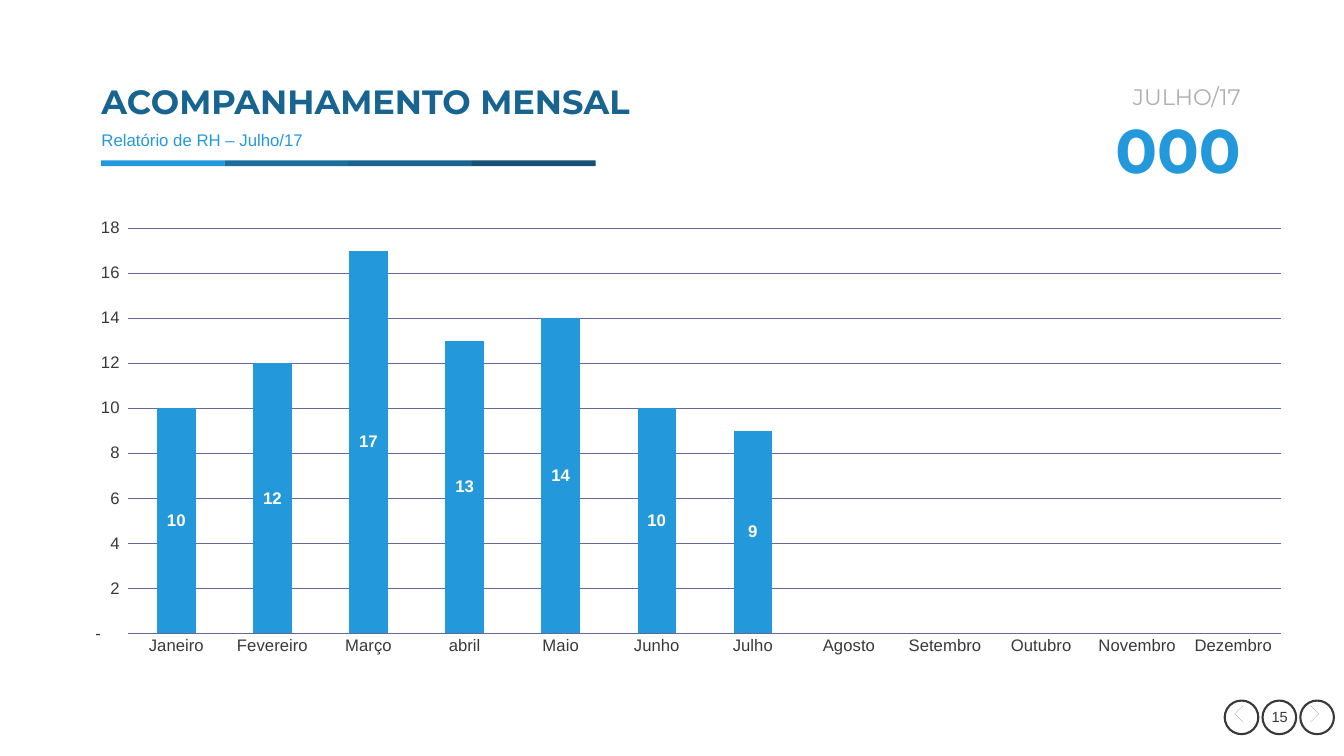
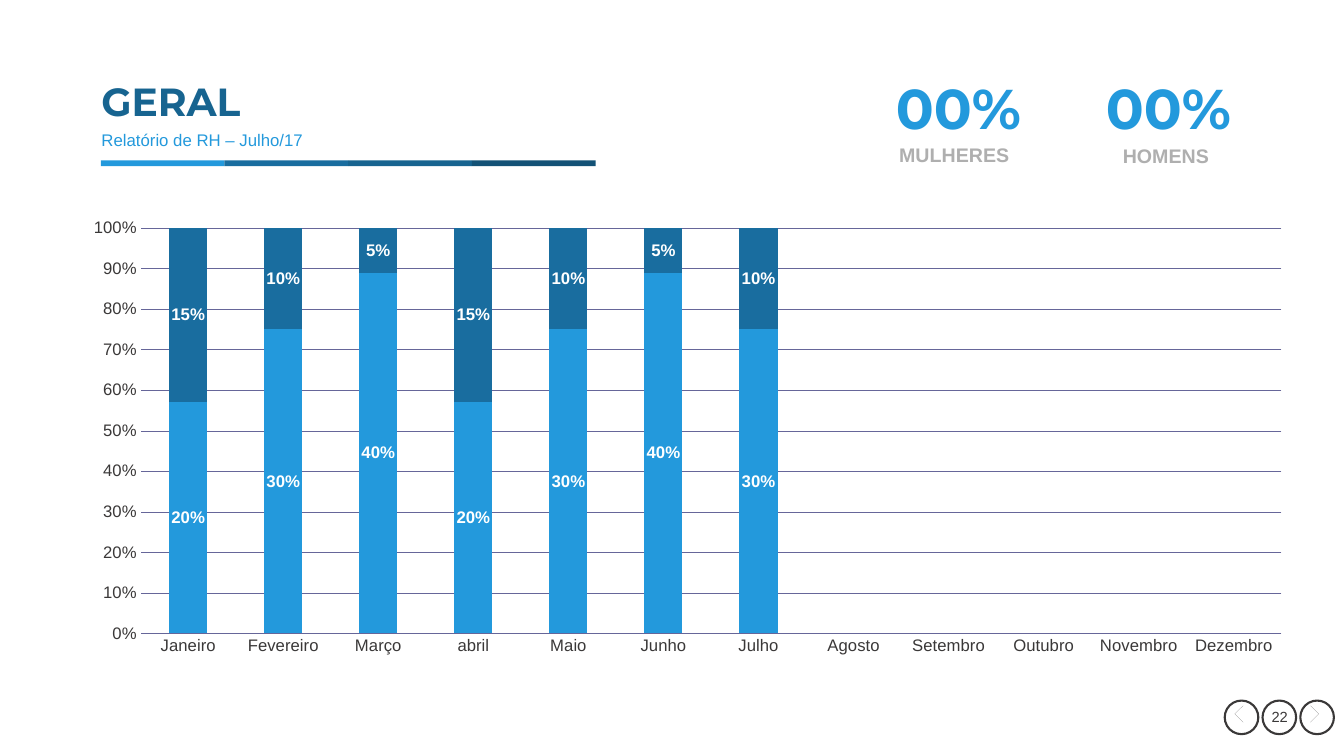
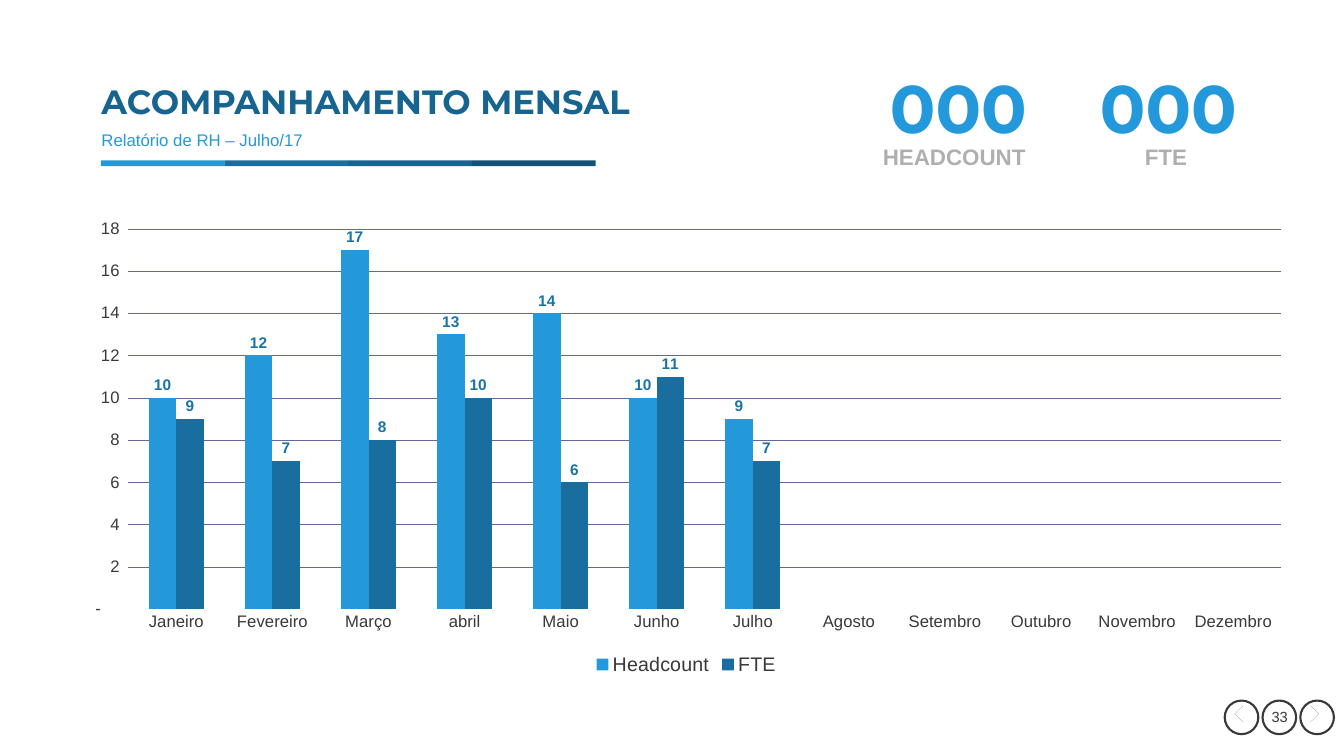
from dataclasses import dataclass

from lxml import etree
from pptx import Presentation
from pptx.chart.data import CategoryChartData
from pptx.dml.color import RGBColor
from pptx.enum.chart import XL_CHART_TYPE, XL_LABEL_POSITION, XL_LEGEND_POSITION, XL_TICK_MARK
from pptx.enum.shapes import MSO_SHAPE
from pptx.enum.text import MSO_ANCHOR, PP_ALIGN
from pptx.oxml.ns import qn
from pptx.util import Emu, Inches, Pt

CLUSTERED = XL_CHART_TYPE.COLUMN_CLUSTERED
STACKED_FULL = XL_CHART_TYPE.COLUMN_STACKED_100
LABEL_CENTER = XL_LABEL_POSITION.CENTER
LABEL_OUTSIDE = XL_LABEL_POSITION.OUTSIDE_END
LEGEND_BOTTOM = XL_LEGEND_POSITION.BOTTOM
NO_TICK = XL_TICK_MARK.NONE
OVAL = MSO_SHAPE.OVAL
RECTANGLE = MSO_SHAPE.RECTANGLE
TOP, MIDDLE = MSO_ANCHOR.TOP, MSO_ANCHOR.MIDDLE
LEFT, CENTER, RIGHT = PP_ALIGN.LEFT, PP_ALIGN.CENTER, PP_ALIGN.RIGHT

ROWS = 90  # a grid of 160 columns by 90 rows with square cells
MONTHS = ("Janeiro", "Fevereiro", "Março", "abril", "Maio", "Junho", "Julho",
          "Agosto", "Setembro", "Outubro", "Novembro", "Dezembro")
ACCOUNTING = '_-* #,##0_-;\\-* #,##0_-;_-* "-"??_-;_-@_'
PERCENT = "0%"
CHEVRON = ((-0.42, -1.08), (0.66, 0), (-0.42, 1.08),
           (-0.54, 0.96), (0.42, 0), (-0.54, -0.96))
# figure column, caption column, caption row
INDICATOR_SPOTS = ((104.4, 102.6, 16.4), (129.4, 127.8, 16.5))


@dataclass(frozen=True)
class Theme:
    heading_font: str = "Montserrat"
    body_font: str = "Arial"
    sky: str = "2399DC"
    blue: str = "196D9F"
    deep: str = "176490"
    navy: str = "135276"
    label_blue: str = "1A73A5"
    gray: str = "AFAFAF"
    ink: str = "3A3838"
    grid: str = "666699"
    white: str = "FFFFFF"
    subtitle: float = 12
    page: float = 10.5
    month: float = 16
    chart: float = 10
    axis: float = 11.9
    legend: float = 14


def set_values(target, values):
    for name, value in values.items():
        setattr(target, name, value)


def set_font(font, size, color, name, bold=False):
    set_values(font, {"size": Pt(size), "name": name, "bold": bold})
    font.color.rgb = RGBColor.from_string(color)


def set_fill(fill, color):
    fill.solid()
    fill.fore_color.rgb = RGBColor.from_string(color)


class Report:
    def __init__(self, theme):
        self.theme = theme
        self.presentation = Presentation()
        set_values(self.presentation, {"slide_width": Inches(40 / 3), "slide_height": Inches(7.5)})
        self.cell = self.presentation.slide_height / ROWS
        self.slide = None

    def box(self, *lengths):
        return [Emu(round(length * self.cell)) for length in lengths]

    def text(self, content, place, size, color, heading=False, bold=False,
             align=LEFT, anchor=MIDDLE, spacing=0.9):
        frame = self.slide.shapes.add_textbox(*self.box(*place)).text_frame
        set_values(frame, {"word_wrap": True, "vertical_anchor": anchor})
        paragraph = frame.paragraphs[0]
        set_values(paragraph, {"text": content, "alignment": align, "line_spacing": spacing})
        name = self.theme.heading_font if heading else self.theme.body_font
        set_font(paragraph.runs[0].font, size, color, name, bold)

    def shape(self, kind, place, fill=None, line=None):
        shape = self.slide.shapes.add_shape(kind, *self.box(*place))
        self.paint(shape, fill, line)

    def paint(self, shape, fill=None, line=None):
        shape.shadow.inherit = False
        if fill:
            set_fill(shape.fill, fill)
        else:
            shape.fill.background()
        if line:
            set_fill(shape.line.fill, line)
            shape.line.width = Pt(1.5)
        else:
            shape.line.fill.background()

    def chevron(self, column, row, direction):
        points = [(column + direction * x, row + y) for x, y in CHEVRON]
        builder = self.slide.shapes.build_freeform(*points[0], scale=self.cell)
        builder.add_line_segments(points[1:], close=True)
        self.paint(builder.convert_to_shape(), self.theme.ink)

    def page_controls(self, number):
        theme = self.theme
        left, top, size, step = 145.8, 83.4, 4, 4.5
        self.text(str(number), (147.6, 82.3, 9.5, 6.1), theme.page, theme.ink,
                  align=CENTER, spacing=1)
        for index, direction in enumerate((-1, 0, 1)):
            column = left + index * step
            self.shape(OVAL, (column, top, size, size), line=theme.ink)
            if direction:
                self.chevron(column + size / 2, top + size / 2, direction)

    def add_slide(self, title, title_size, number):
        """Start a slide with its title, colour band and page controls."""
        theme = self.theme
        self.slide = self.presentation.slides.add_slide(self.presentation.slide_layouts[6])
        self.page_controls(number)
        width = 14.73
        for index, color in enumerate((theme.sky, theme.blue, theme.deep, theme.navy)):
            self.shape(RECTANGLE, (12 + index * width, 19.1, width, 0.7), color)
        self.text(title, (10.9, 9, 69.8, 6.7), title_size, theme.deep, heading=True, bold=True)
        self.text("Relatório de RH – Julho/17", (10.9, 15.1, 136, 3.4),
                  theme.subtitle, theme.sky, anchor=TOP)

    def month_total(self, month, total):
        theme = self.theme
        self.text(total, (110.2, 13.8, 38.7, 9), 44, theme.sky,
                  heading=True, bold=True, align=RIGHT)
        self.text(month, (115, 8.4, 33.9, 6.7), theme.month, theme.gray,
                  heading=True, align=RIGHT)

    def indicators(self, pairs, figure_size, caption_size):
        theme = self.theme
        for (figure, caption), (column, caption_column, row) in zip(pairs, INDICATOR_SPOTS):
            self.text(figure, (column, 8.8, 19.4, 9), figure_size, theme.sky,
                      heading=True, bold=True, align=CENTER)
            self.text(caption, (caption_column, row, 22, 4.4), caption_size, theme.gray,
                      bold=True, align=CENTER, anchor=TOP, spacing=1)

    def chart(self, series, number_format, plot_area, kind=CLUSTERED, height=54.2,
              label_position=LABEL_CENTER, label_size=12, label_color=None, legend=False):
        """Draw monthly columns; plot_area holds x, y, w, h as shares of the chart."""
        theme = self.theme
        data = CategoryChartData(number_format=number_format)
        data.categories = MONTHS
        for name, values in series.items():
            data.add_series(name, values + (None,) * (len(MONTHS) - len(values)))
        place = self.box(7.9, 25, 147.6, height)
        chart = self.slide.shapes.add_chart(kind, *place, data).chart
        set_values(chart, {"has_title": False, "has_legend": legend})
        set_font(chart.font, theme.chart, theme.ink, theme.body_font)
        if legend:
            set_values(chart.legend, {"position": LEGEND_BOTTOM, "include_in_layout": False})
            set_font(chart.legend.font, theme.legend, theme.ink, theme.body_font)

        plot = chart.plots[0]
        set_values(plot, {"gap_width": 150, "overlap": 100 if kind == STACKED_FULL else 0,
                          "vary_by_categories": False})
        for item, color in zip(plot.series, (theme.sky, theme.blue)):
            set_fill(item.format.fill, color)
            labels = item.data_labels
            set_values(labels, {"show_value": True, "position": label_position,
                                "number_format": number_format,
                                "number_format_is_linked": False})
            set_font(labels.font, label_size, label_color or theme.white, theme.body_font, True)

        self.axes(chart, number_format, baseline=not legend)
        self.place_plot(chart, plot_area)

    def axes(self, chart, number_format, baseline):
        """Style both axes; baseline lets the gridline at zero show."""
        theme = self.theme
        for axis in (chart.category_axis, chart.value_axis):
            set_values(axis, {"major_tick_mark": NO_TICK, "minor_tick_mark": NO_TICK})
            set_font(axis.tick_labels.font, theme.axis, theme.ink, theme.body_font)
            axis.format.line.fill.background()
        if not baseline:
            set_fill(chart.category_axis.format.line.fill, theme.white)
            chart.category_axis.format.line.width = Pt(1)
        value_axis = chart.value_axis
        set_values(value_axis.tick_labels, {"number_format": number_format,
                                            "number_format_is_linked": False})
        value_axis.has_major_gridlines = True
        grid_line = value_axis.major_gridlines.format.line
        set_fill(grid_line.fill, theme.grid)
        grid_line.width = Pt(0.25)

    def place_plot(self, chart, plot_area):
        area = chart.element.find(".//" + qn("c:plotArea"))
        for old_layout in area.findall(qn("c:layout")):
            area.remove(old_layout)
        layout = etree.Element(qn("c:layout"))
        manual = etree.SubElement(layout, qn("c:manualLayout"))
        settings = {"layoutTarget": "inner", "xMode": "edge", "yMode": "edge",
                    **dict(zip("xywh", plot_area))}
        for tag, value in settings.items():
            etree.SubElement(manual, qn("c:" + tag)).set("val", str(value))
        area.insert(0, layout)


def main():
    theme = Theme()
    report = Report(theme)
    headcount = (10, 12, 17, 13, 14, 10, 9)

    report.add_slide("ACOMPANHAMENTO MENSAL", 24, 15)
    report.month_total("JULHO/17", "000")
    report.chart({"Series 1": headcount}, ACCOUNTING, (0.05, 0.04, 0.93, 0.89))

    report.add_slide("GERAL", 28, 22)
    report.indicators((("00%", "MULHERES"), ("00%", "HOMENS")), 40, 14)
    report.chart({"Series 1": (0.2, 0.3, 0.4, 0.2, 0.3, 0.4, 0.3),
                  "Series 2": (0.15, 0.1, 0.05, 0.15, 0.1, 0.05, 0.1)},
                 PERCENT, (0.06, 0.04, 0.92, 0.89), kind=STACKED_FULL)

    report.add_slide("ACOMPANHAMENTO MENSAL", 24, 33)
    report.chart({"Headcount": headcount, "FTE": (9, 7, 8, 10, 6, 11, 7)},
                 ACCOUNTING, (0.05, 0.04, 0.93, 0.81), height=55.9,
                 label_position=LABEL_OUTSIDE, label_size=11,
                 label_color=theme.label_blue, legend=True)
    report.indicators((("000", "HEADCOUNT"), ("000", "FTE")), 48, 16)

    report.presentation.save("out.pptx")


if __name__ == "__main__":
    main()
